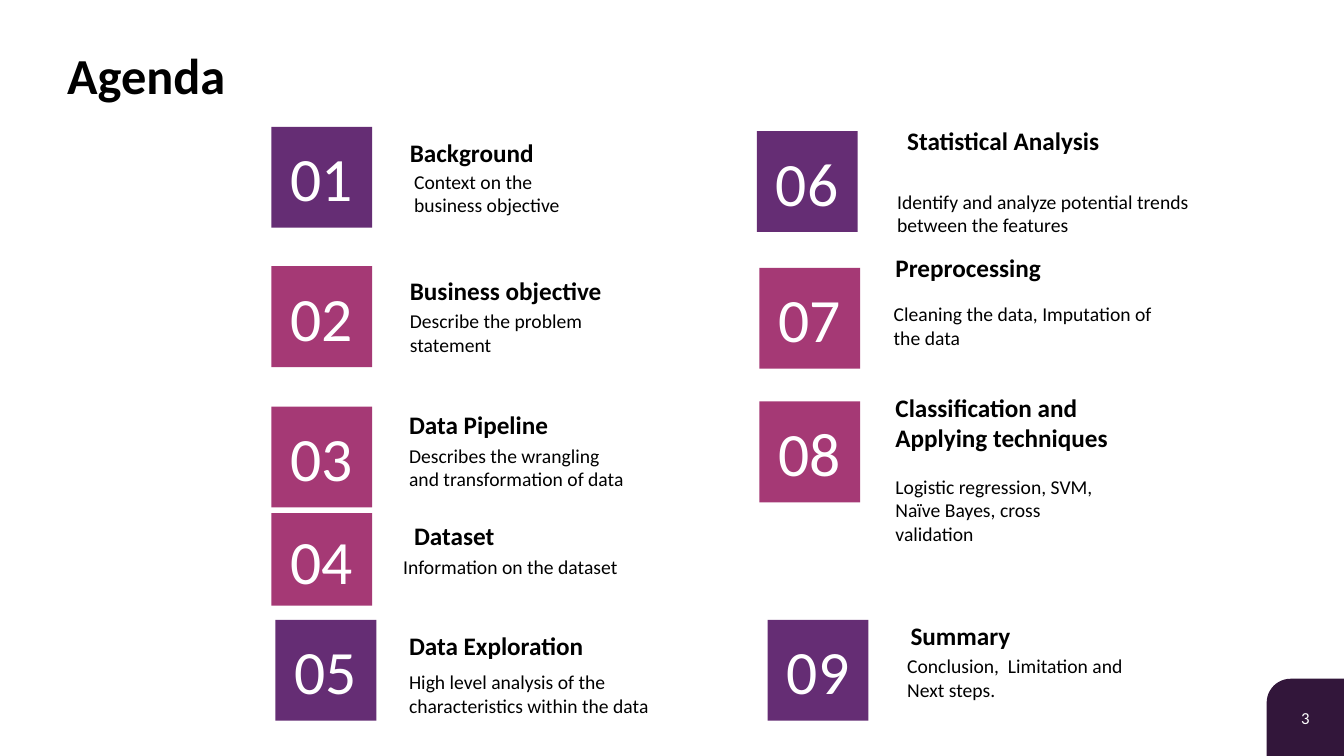
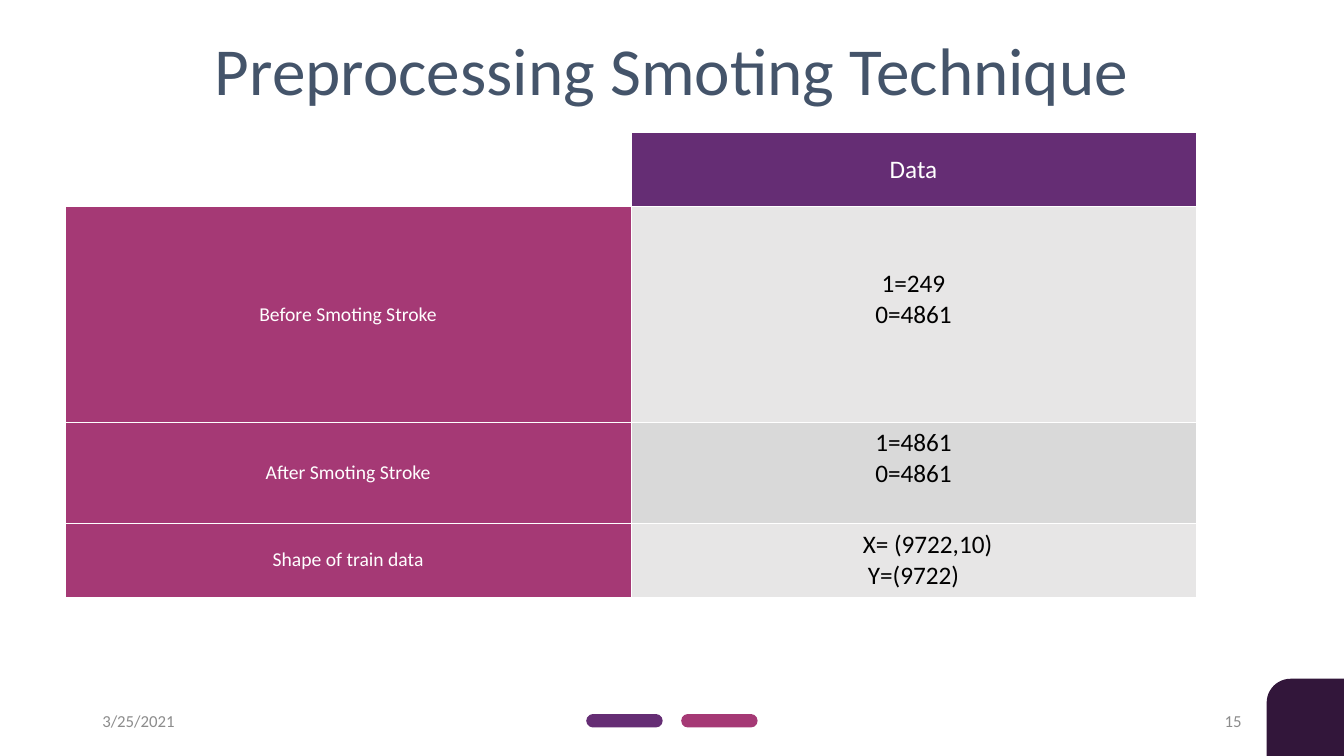
"""Build an agenda slide and a table slide in one shared style."""
import pptx
import pptx.dml.color
import pptx.enum.shapes
import pptx.enum.text
import pptx.oxml
import pptx.oxml.ns
import pptx.util

RGBColor = pptx.dml.color.RGBColor
PURPLE = RGBColor(0x65, 0x2D, 0x74)
MAGENTA = RGBColor(0xA5, 0x39, 0x75)
PLUM = RGBColor(0x32, 0x16, 0x3A)
SLATE = RGBColor(0x44, 0x54, 0x6A)
GREY = RGBColor(0x8C, 0x8C, 0x8C)
PALE = RGBColor(0xE7, 0xE6, 0xE6)
SILVER = RGBColor(0xD9, 0xD9, 0xD9)
BLACK = RGBColor(0, 0, 0)
WHITE = RGBColor(0xFF, 0xFF, 0xFF)

Preset = pptx.enum.shapes.MSO_SHAPE
Align = pptx.enum.text.PP_ALIGN
Anchor = pptx.enum.text.MSO_ANCHOR

COLUMNS, ROWS = 80, 45
CELL = pptx.util.Inches(7.5) // ROWS

AGENDA = [
    ("01", PURPLE, (16.15, 7.55), 6, 10, (24.4, 8.15), "Background",
     (24.65, 10.1), "Context on the business objective"),
    ("02", MAGENTA, (16.15, 15.85), 6, 13, (24.4, 16.4), "Business objective",
     (24.4, 18.4), "Describe the problem statement"),
    ("03", MAGENTA, (16.15, 24.2), 6, 13, (24.35, 24.35), "Data Pipeline",
     (24.35, 26.4), "Describes the wrangling and transformation of data"),
    ("04", MAGENTA, (16.15, 30.55), 5.5, 13, (24.65, 30.95), "Dataset",
     (24, 33.05), "Information on the dataset"),
    ("05", PURPLE, (16.4, 36.9), 6, 18.25, (24.35, 37.55), "Data Exploration",
     (24.35, 39.9), "High level analysis of the characteristics within the data"),
    ("06", PURPLE, (45.05, 7.8), 6, 17.6, (54, 7.45), "Statistical Analysis",
     (53.4, 11.3), "Identify and analyze potential trends between the features"),
    ("07", MAGENTA, (45.2, 15.95), 6, 15.6, (53.3, 15.05), "Preprocessing",
     (53.2, 18), "Cleaning the data, Imputation of the data"),
    ("08", MAGENTA, (45.2, 23.9), 6, 13, (53.3, 23.35), "Classification and Applying techniques",
     (53.3, 28.25), "Logistic regression, SVM, Naïve Bayes, cross validation"),
    ("09", PURPLE, (45.7, 36.9), 6, 15.6, (54.2, 36.9), "Summary",
     (54, 38.95), "Conclusion,  Limitation and\nNext steps."),
]

TABLE = [
    (4.4, "", WHITE, "Data", PURPLE),
    (12.85, "Before Smoting Stroke", MAGENTA, "1=249\n0=4861", PALE),
    (6, "After Smoting Stroke", MAGENTA, "1=4861\n0=4861", SILVER),
    (4.4, "Shape of train data", MAGENTA, "X= (9722,10)\nY=(9722)", PALE),
]


def grid(*counts):
    """Turn counts of grid cells into lengths."""
    return [pptx.util.Emu(round(count * CELL)) for count in counts]


class Deck:
    """Hold the presentation, its style and the current slide."""

    font_name = "Calibri"

    def __init__(self):
        """Start an empty widescreen presentation."""
        self.presentation = pptx.Presentation()
        width, height = grid(COLUMNS, ROWS)
        self.presentation.slide_width = width
        self.presentation.slide_height = height
        self.slide = None

    def new_slide(self):
        """Add a blank slide with the rounded corner."""
        self.slide = self.presentation.slides.add_slide(self.presentation.slide_layouts[6])
        side = 4.6
        corner = self.block(Preset.ROUND_1_RECTANGLE, COLUMNS - side, ROWS - side, side, side, PLUM)
        corner.adjustments[0] = 0.31
        corner._element.spPr.get_or_add_xfrm().set("flipH", "1")

    def block(self, preset, left, top, width, height, color):
        """Add a plain filled shape."""
        shape = self.slide.shapes.add_shape(preset, *grid(left, top, width, height))
        shape.shadow.inherit = False
        shape.fill.solid()
        shape.fill.fore_color.rgb = color
        shape.line.fill.background()
        return shape

    def fill_frame(self, frame, text, size, color, align=Align.LEFT, bold=False):
        """Fill a text frame, one paragraph a line."""
        frame.word_wrap = True
        frame.text = text
        for paragraph in frame.paragraphs:
            paragraph.alignment = align
            font = paragraph.font
            font.name, font.size, font.bold = self.font_name, pptx.util.Pt(size), bold
            font.color.rgb = color

    def text(self, left, top, width, height, text, size, color,
             align=Align.LEFT, bold=False, anchor=Anchor.TOP, inset=0):
        """Add a text box with equal side insets."""
        box = self.slide.shapes.add_textbox(*grid(left, top, width, height))
        frame = box.text_frame
        frame.margin_left = frame.margin_right = pptx.util.Inches(inset)
        frame.margin_top = frame.margin_bottom = 0
        frame.vertical_anchor = anchor
        self.fill_frame(frame, text, size, color, align, bold)
        return frame

    def footer(self, left, top, width, height, text, color, align):
        """Add a date or a slide number."""
        self.text(left, top, width, height, text, 12, color, align,
                  anchor=Anchor.MIDDLE, inset=0.1)

    def tile(self, left, top, height, number, color):
        """Add a numbered tile."""
        shape = self.block(Preset.RECTANGLE, left, top, 6, height, color)
        shape.text_frame.vertical_anchor = Anchor.MIDDLE
        self.fill_frame(shape.text_frame, number, 44, WHITE, Align.CENTER)

    def pill(self, left, color):
        """Add a rounded bar at the foot."""
        self.block(Preset.ROUNDED_RECTANGLE, left, 42.5, 4.55, 0.8, color).adjustments[0] = 0.5

    def cell(self, cell, text, size, text_color, fill):
        """Style a table cell with thin white borders."""
        properties = cell._tc.get_or_add_tcPr()
        for side in "LRTB":
            properties.append(pptx.oxml.parse_xml(
                f'<a:ln{side} {pptx.oxml.ns.nsdecls("a")} w="6350"><a:solidFill>'
                f'<a:srgbClr val="{WHITE}"/></a:solidFill></a:ln{side}>'))
        cell.fill.solid()
        cell.fill.fore_color.rgb = fill
        cell.vertical_anchor = Anchor.MIDDLE
        self.fill_frame(cell.text_frame, text, size, text_color, Align.CENTER)

    def table(self, left, top, column_width, rows):
        """Add a table of row labels and values."""
        height = sum(row[0] for row in rows)
        frame = self.slide.shapes.add_table(
            len(rows), 2, *grid(left, top, 2 * column_width, height))
        table = frame.table
        table.horz_banding = False
        for column in table.columns:
            column.width = grid(column_width)[0]
        for index, (row_height, label, label_fill, value, value_fill) in enumerate(rows):
            table.rows[index].height = grid(row_height)[0]
            self.cell(table.cell(index, 0), label, 14, WHITE, label_fill)
            self.cell(table.cell(index, 1), value, 18, BLACK if index else WHITE, value_fill)
        return table


def agenda_slide(deck):
    """Build the agenda."""
    deck.new_slide()
    title = deck.text(4, 2.1, 72, 5.1, "Agenda", 36, BLACK, bold=True, anchor=Anchor.MIDDLE)
    title.paragraphs[0].line_spacing = 0.9
    deck.footer(76.5, 41.8, 2.4, 1.8, "3", WHITE, Align.CENTER)
    for number, color, tile, height, width, heading_at, heading, detail_at, detail in AGENDA:
        deck.tile(*tile, height, number, color)
        deck.text(*heading_at, width, 1.8, heading, 18, BLACK, bold=True)
        deck.text(*detail_at, width, 2.8, detail, 14, BLACK)


def smoting_slide(deck):
    """Build the table of class counts."""
    deck.new_slide()
    deck.text(2.8, 1.7, 74.4, 4.9, "Preprocessing Smoting Technique", 48, SLATE, Align.CENTER)
    for index, color in enumerate((PURPLE, MAGENTA)):
        deck.pill(34.9 + 5.65 * index, color)
    deck.footer(5.5, 41.7, 18, 2.4, "3/25/2021", GREY, Align.LEFT)
    deck.footer(56.5, 41.7, 18, 2.4, "15", GREY, Align.RIGHT)
    table = deck.table(3.9, 7.9, 33.65, TABLE)
    for row in (1, 2):
        table.cell(row, 1).margin_bottom = pptx.util.Inches(0.35)
    shape_line = table.cell(3, 1).text_frame.paragraphs[0]
    properties = shape_line._p.get_or_add_pPr()
    properties.set("marL", str(pptx.util.Inches(0.28)))
    properties.set("indent", "0")


def main():
    """Build and save the slides."""
    deck = Deck()
    agenda_slide(deck)
    smoting_slide(deck)
    deck.presentation.save("out.pptx")


if __name__ == "__main__":
    main()
